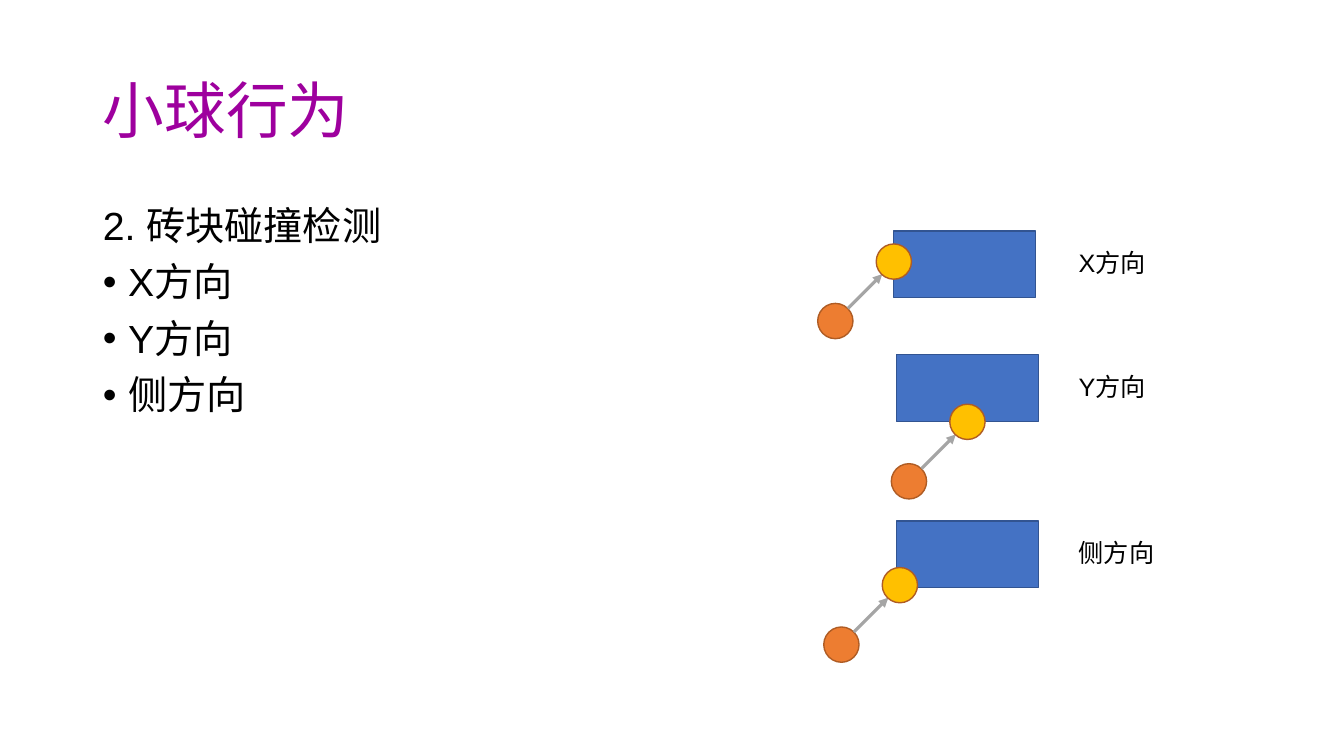
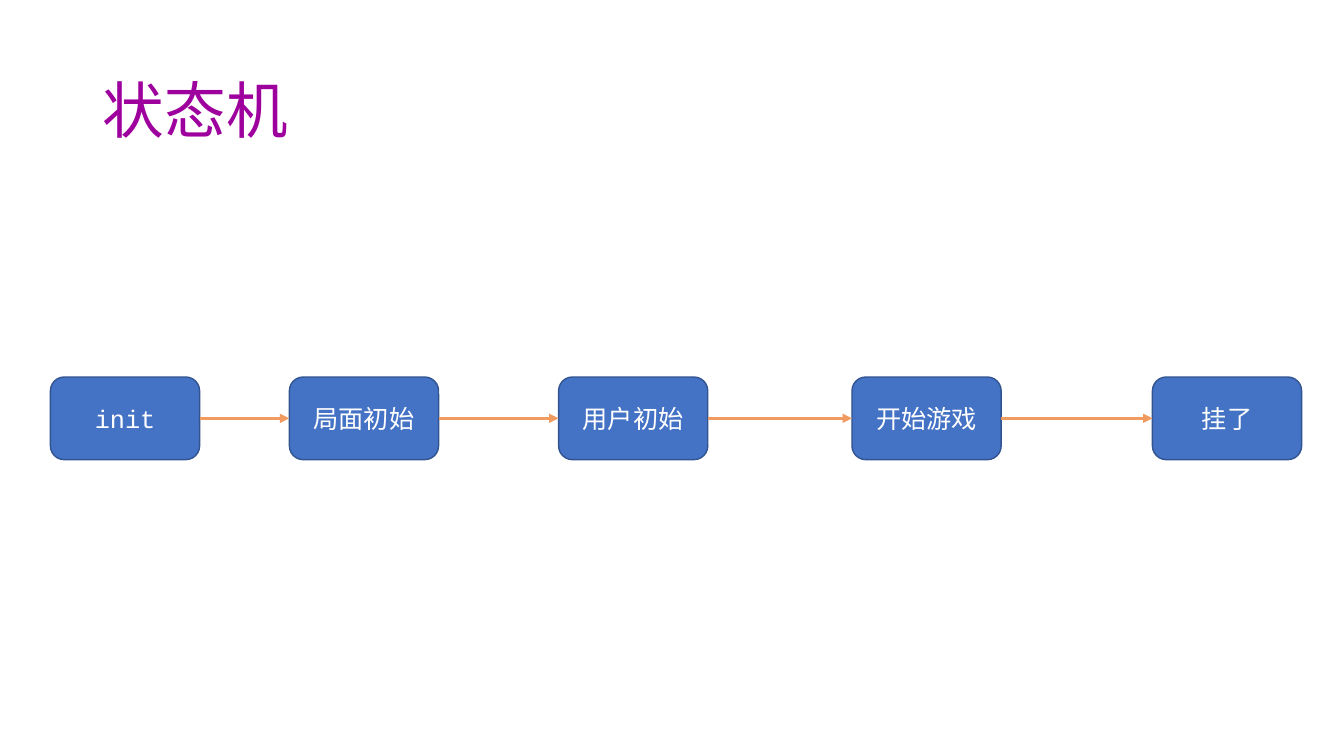
from dataclasses import dataclass

from lxml import etree
from pptx import Presentation
from pptx.dml.color import RGBColor
from pptx.enum.shapes import MSO_CONNECTOR, MSO_SHAPE
from pptx.enum.text import MSO_ANCHOR, MSO_AUTO_SIZE, PP_ALIGN
from pptx.oxml.ns import qn
from pptx.util import Inches, Pt

RECT = MSO_SHAPE.RECTANGLE
ROUNDED = MSO_SHAPE.ROUNDED_RECTANGLE
OVAL = MSO_SHAPE.OVAL
STRAIGHT = MSO_CONNECTOR.STRAIGHT
MIDDLE = MSO_ANCHOR.MIDDLE
TOP = MSO_ANCHOR.TOP
NO_AUTOFIT = MSO_AUTO_SIZE.NONE
LEFT = PP_ALIGN.LEFT
CENTER = PP_ALIGN.CENTER

TITLE_AND_CONTENT = 1
TITLE_ONLY = 5
LEFT_SITE = 1
RIGHT_SITE = 3


@dataclass(frozen=True)
class Theme:
    """Colours, fonts and type sizes of the deck."""

    title: str = "9E009E"
    text: str = "000000"
    reversed_text: str = "FFFFFF"
    block: str = "4472C4"
    block_edge: str = "325491"
    ball: str = "ED7D31"
    hit_ball: str = "FFC000"
    ball_edge: str = "AF5C24"
    motion: str = "A5A5A5"
    transition: str = "F19B61"
    font: str = "Arial"
    code_font: str = "Courier New"
    title_size: float = 44
    body_size: float = 28
    label_size: float = 18
    edge_width: float = 1
    arrow_width: float = 2.25


THEME = Theme()

TITLE_BOX = (0.92, 0.4, 11.5, 1.45)
BODY_BOX = (0.92, 2, 4.67, 4.76)
BULLET_INDENT = 0.25

BRICK_SIZE = (1.41, 0.66)
BALL_SIZE = 0.35
BALL_TRAVEL = (0.58, -0.59)
ARROW_START = (0.3, 0.05)
ARROW_END = (0.06, 0.3)
LABEL_LEFT = 10.6
LABEL_DROP = 0.11
LABEL_HEIGHT = 0.4

STATE_TOP = 3.74
STATE_SIZE = (1.48, 0.82)

COLLISIONS = [
    ("X方向", (8.86, 2.29), (-0.17, 0.13), 0.88),
    ("Y方向", (8.89, 3.52), (0.53, 0.49), 0.88),
    ("侧方向", (8.89, 5.17), (-0.14, 0.46), 0.97),
]
STATES = [
    ("init", 0.5, THEME.code_font),
    ("局面初始", 2.87, THEME.font),
    ("用户初始", 5.54, THEME.font),
    ("开始游戏", 8.45, THEME.font),
    ("挂了", 11.43, THEME.font),
]


def rgb(color):
    """Turn a hex string into a colour."""
    return RGBColor.from_string(color)


def offset(point, shift):
    """Move a point by a shift."""
    return point[0] + shift[0], point[1] + shift[1]


def add_run(paragraph, text, size, color, font=THEME.font):
    """Add one formatted run to a paragraph."""
    run = paragraph.add_run()
    run.text = text
    run.font.size = Pt(size)
    run.font.name = font
    run.font.color.rgb = rgb(color)


def place(placeholder, box, anchor):
    """Move a placeholder to a box and fix its text frame."""
    placeholder.left, placeholder.top, placeholder.width, placeholder.height = map(Inches, box)
    placeholder.text_frame.auto_size = NO_AUTOFIT
    placeholder.text_frame.vertical_anchor = anchor
    return placeholder.text_frame


def add_titled_slide(deck, layout, title):
    """Add a slide with the shared title style."""
    slide = deck.slides.add_slide(deck.slide_layouts[layout])
    paragraph = place(slide.shapes.title, TITLE_BOX, MIDDLE).paragraphs[0]
    paragraph.alignment = LEFT
    paragraph.line_spacing = 0.9
    add_run(paragraph, title, THEME.title_size, THEME.title)
    return slide


def set_bullet(paragraph, bulleted):
    """Give a paragraph a hanging bullet, or none."""
    indent = Inches(BULLET_INDENT) if bulleted else 0
    properties = paragraph._p.get_or_add_pPr()
    properties.set("marL", str(indent))
    properties.set("indent", str(-indent))
    if bulleted:
        etree.SubElement(properties, qn("a:buFont"), typeface=THEME.font)
        etree.SubElement(properties, qn("a:buChar"), char="•")
    else:
        etree.SubElement(properties, qn("a:buNone"))


def fill_body(placeholder, box, heading, items):
    """Write a heading and its bulleted items into the body."""
    frame = place(placeholder, box, TOP)
    for index, text in enumerate([heading, *items]):
        paragraph = frame.add_paragraph() if index else frame.paragraphs[0]
        paragraph.line_spacing = 0.9
        paragraph.space_before = Pt(10)
        set_bullet(paragraph, index > 0)
        add_run(paragraph, text, THEME.body_size, THEME.text)


def add_figure(slide, preset, corner, size, fill, edge):
    """Add a flat preset shape with a thin edge."""
    figure = slide.shapes.add_shape(preset, *map(Inches, (*corner, *size)))
    figure.shadow.inherit = False
    figure.fill.solid()
    figure.fill.fore_color.rgb = rgb(fill)
    figure.line.color.rgb = rgb(edge)
    figure.line.width = Pt(THEME.edge_width)
    return figure


def add_arrow(slide, start, end, color):
    """Add a straight arrow between two points."""
    arrow = slide.shapes.add_connector(STRAIGHT, *map(Inches, (*start, *end)))
    arrow.line.color.rgb = rgb(color)
    arrow.line.width = Pt(THEME.arrow_width)
    etree.SubElement(arrow.line._get_or_add_ln(), qn("a:tailEnd"), type="triangle")
    etree.SubElement(arrow._element.spPr, qn("a:effectLst"))
    return arrow


def add_ball(slide, corner, fill):
    """Add a ball at a corner point."""
    add_figure(slide, OVAL, corner, (BALL_SIZE, BALL_SIZE), fill, THEME.ball_edge)


def add_collision(slide, label, brick, contact, label_width):
    """Draw a ball hitting a brick, with its label at the right."""
    hit = offset(brick, contact)
    origin = hit[0] - BALL_TRAVEL[0], hit[1] - BALL_TRAVEL[1]
    add_figure(slide, RECT, brick, BRICK_SIZE, THEME.block, THEME.block_edge)
    add_ball(slide, origin, THEME.ball)
    add_arrow(slide, offset(origin, ARROW_START), offset(hit, ARROW_END), THEME.motion)
    add_ball(slide, hit, THEME.hit_ball)
    label_box = (LABEL_LEFT, brick[1] + LABEL_DROP, label_width, LABEL_HEIGHT)
    frame = slide.shapes.add_textbox(*map(Inches, label_box)).text_frame
    frame.word_wrap = True
    add_run(frame.paragraphs[0], label, THEME.label_size, THEME.text)


def add_state(slide, name, left, font):
    """Add one state box of the machine."""
    state = add_figure(slide, ROUNDED, (left, STATE_TOP), STATE_SIZE, THEME.block, THEME.block_edge)
    state.text_frame.vertical_anchor = MIDDLE
    paragraph = state.text_frame.paragraphs[0]
    paragraph.alignment = CENTER
    add_run(paragraph, name, THEME.label_size, THEME.reversed_text, font)
    return state


def add_transition(slide, source, target):
    """Join two neighbouring states with an arrow."""
    arrow = add_arrow(slide, (0, 0), (1, 1), THEME.transition)
    arrow.begin_connect(source, RIGHT_SITE)
    arrow.end_connect(target, LEFT_SITE)


def build_ball_slide(deck):
    """Build the slide on how the ball collides with bricks."""
    slide = add_titled_slide(deck, TITLE_AND_CONTENT, "小球行为")
    directions = [collision[0] for collision in COLLISIONS]
    fill_body(slide.placeholders[1], BODY_BOX, "2. 砖块碰撞检测", directions)
    for collision in COLLISIONS:
        add_collision(slide, *collision)


def build_state_slide(deck):
    """Build the slide with the chain of game states."""
    slide = add_titled_slide(deck, TITLE_ONLY, "状态机")
    states = [add_state(slide, *state) for state in STATES]
    for source, target in zip(states, states[1:]):
        add_transition(slide, source, target)


def main():
    """Build and save the deck."""
    deck = Presentation()
    deck.slide_width = Inches(13.33)
    deck.slide_height = Inches(7.5)
    build_ball_slide(deck)
    build_state_slide(deck)
    deck.save("out.pptx")


if __name__ == "__main__":
    main()
